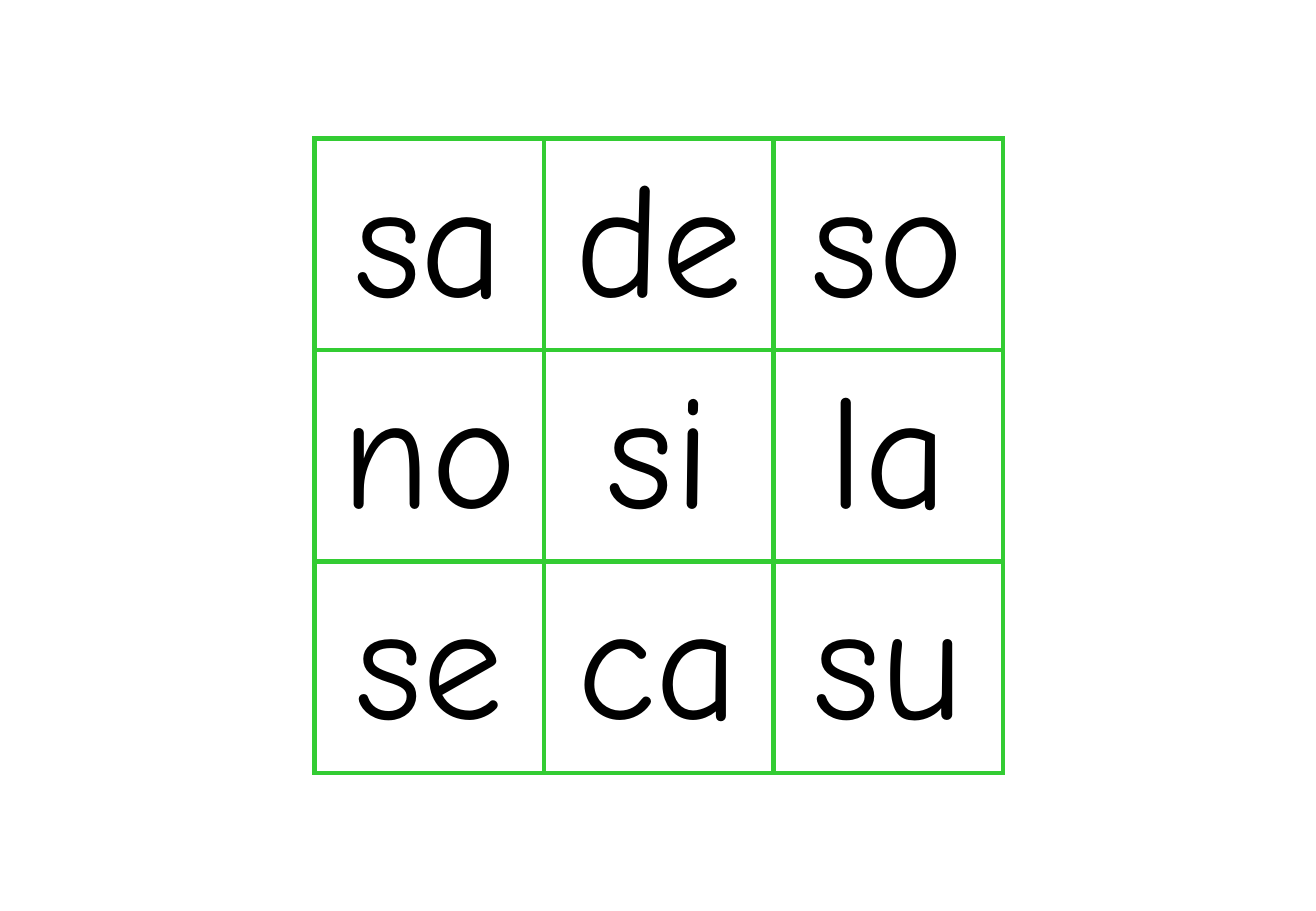
from dataclasses import dataclass

from lxml.etree import SubElement
from pptx import Presentation
from pptx.dml.color import RGBColor
from pptx.enum.text import MSO_ANCHOR, PP_ALIGN
from pptx.oxml.ns import qn
from pptx.table import Table, _Cell
from pptx.util import Cm, Pt


@dataclass(frozen=True)
class Theme:
    font: str = "Comic Neue"
    ink: str = "000000"
    border: str = "33CC33"
    syllable_size: int = 96
    border_width: int = 3


@dataclass(frozen=True)
class Syllable:
    text: str
    row: int
    column: int


THEME = Theme()
SYLLABLE_ROWS = ("sa de so", "no si la", "se ca su")
SYLLABLES = [
    Syllable(text, row, column)
    for row, line in enumerate(SYLLABLE_ROWS)
    for column, text in enumerate(line.split())
]
GRID_SIZE = 3
GRID_LEFT, GRID_TOP = Cm(6.58), Cm(2.9)
CELL_WIDTH, CELL_HEIGHT = Cm(4.8), Cm(4.42)


def write_text(cell: _Cell, text: str, *, size: int, color: str, font: str) -> None:
    cell.vertical_anchor = MSO_ANCHOR.MIDDLE
    cell.margin_left = cell.margin_right = Cm(0.28)
    cell.margin_top = cell.margin_bottom = Cm(0.13)
    paragraph = cell.text_frame.paragraphs[0]
    paragraph.alignment = PP_ALIGN.CENTER
    run = paragraph.add_run()
    run.text = text
    run.font.size = Pt(size)
    run.font.name = font
    run.font.color.rgb = RGBColor.from_string(color)


def draw_borders(cell: _Cell, color: str, width: int) -> None:
    properties = cell._tc.get_or_add_tcPr()
    for side in ("lnL", "lnR", "lnT", "lnB"):
        line = SubElement(properties, qn(f"a:{side}"), w=str(Pt(width)))
        fill = SubElement(line, qn("a:solidFill"))
        SubElement(fill, qn("a:srgbClr"), val=color)


def draw_syllable(table: Table, syllable: Syllable) -> None:
    cell = table.cell(syllable.row, syllable.column)
    write_text(cell, syllable.text, size=THEME.syllable_size, color=THEME.ink, font=THEME.font)
    draw_borders(cell, THEME.border, THEME.border_width)
    cell.fill.background()


def main() -> None:
    presentation = Presentation()
    presentation.slide_width, presentation.slide_height = Cm(27.53), Cm(19.05)
    slide = presentation.slides.add_slide(presentation.slide_layouts[6])
    table = slide.shapes.add_table(
        GRID_SIZE, GRID_SIZE, GRID_LEFT, GRID_TOP,
        GRID_SIZE * CELL_WIDTH, GRID_SIZE * CELL_HEIGHT,
    ).table
    table.first_row = table.horz_banding = False
    for syllable in SYLLABLES:
        draw_syllable(table, syllable)
    presentation.save("out.pptx")


if __name__ == "__main__":
    main()
